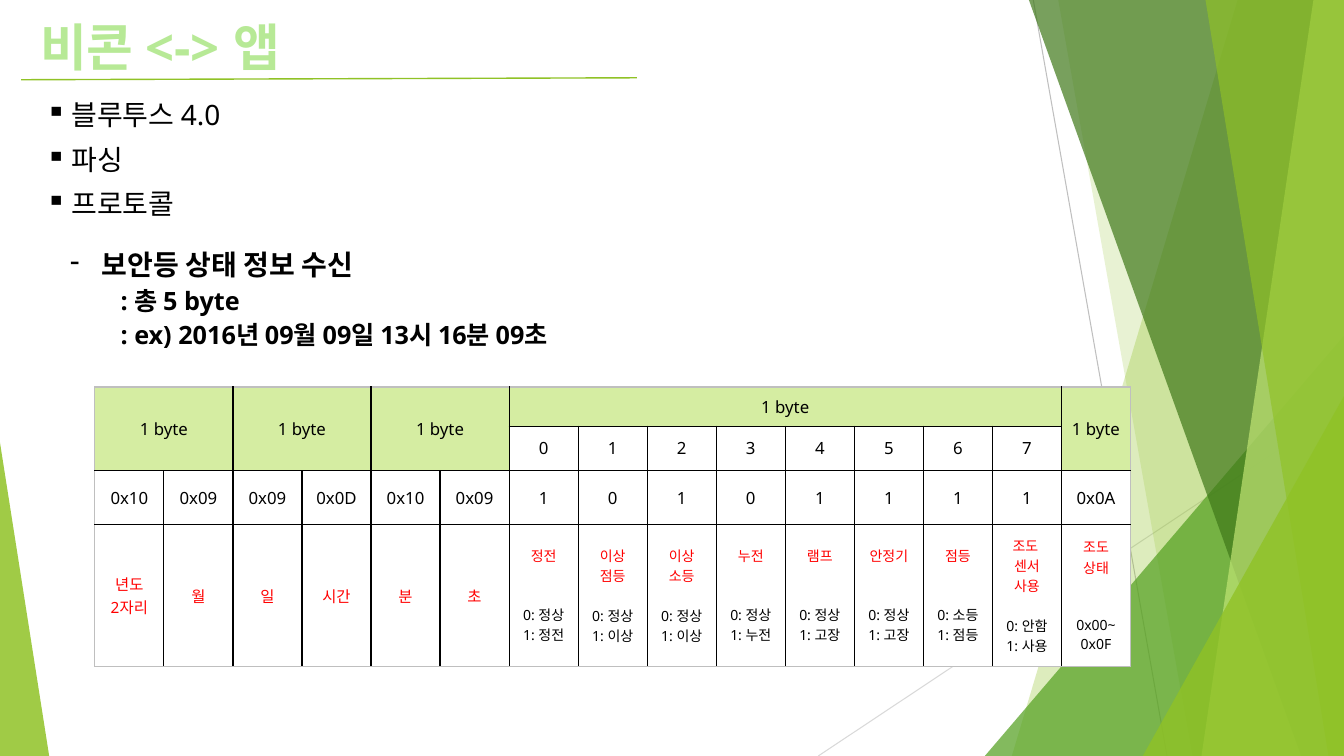
import pptx
import pptx.util
import pptx.dml.color
import pptx.enum.shapes
import pptx.enum.text
import pptx.oxml
import pptx.oxml.ns
from lxml import etree

Cm, Pt = pptx.util.Cm, pptx.util.Pt
RGBColor = pptx.dml.color.RGBColor
qn = pptx.oxml.ns.qn
SHAPES = pptx.enum.shapes.MSO_SHAPE
CENTER = pptx.enum.text.PP_ALIGN.CENTER
MIDDLE = pptx.enum.text.MSO_ANCHOR.MIDDLE

FONT = "Noto Sans"
BLACK = RGBColor(0x00, 0x00, 0x00)
WHITE = RGBColor(0xFF, 0xFF, 0xFF)
RED = RGBColor(0xFF, 0x00, 0x00)
GRAY = RGBColor(0xBF, 0xBF, 0xBF)
LIGHT_GRAY = RGBColor(0xD9, 0xD9, 0xD9)
LIME = RGBColor(0x90, 0xC2, 0x26)
PALE_LIME = RGBColor(0xC0, 0xE4, 0x74)
GREEN = RGBColor(0x54, 0xA0, 0x21)
DARK_GREEN = RGBColor(0x3F, 0x78, 0x19)
TITLE_GREEN = RGBColor(0xB7, 0xE9, 0x96)
HEADER_GREEN = RGBColor(0xD5, 0xED, 0xA2)

# Content
TITLE = "비콘 <-> 앱"
TOPICS = ["블루투스 4.0", "파싱", "프로토콜"]
DETAIL_HEADING = " 보안등 상태 정보 수신"
DETAILS = [": 총 5 byte", ": ex) 2016년 09월 09일 13시 16분 09초"]
BYTE_LABEL = "1 byte"
# first row, first column, last row, last column
BYTE_SPANS = [(0, 0, 1, 1), (0, 2, 1, 3), (0, 4, 1, 5), (0, 6, 0, 13), (0, 14, 1, 14)]
VALUES = ["0x10", "0x09", "0x09", "0x0D", "0x10", "0x09",
          "1", "0", "1", "0", "1", "1", "1", "1", "0x0A"]
DATE_PARTS = [["년도", "2자리"], ["월"], ["일"], ["시간"], ["분"], ["초"]]
# name lines, blank lines of gap, meaning lines
FLAGS = [
    (["정전"], 2, ["0: 정상", "1: 정전"]),
    (["이상", "점등"], 1, ["0: 정상", "1: 이상"]),
    (["이상", "소등"], 1, ["0: 정상", "1: 이상"]),
    (["누전"], 2, ["0: 정상", "1: 누전"]),
    (["램프"], 2, ["0: 정상", "1: 고장"]),
    (["안정기"], 2, ["0: 정상", "1: 고장"]),
    (["점등"], 2, ["0: 소등", "1: 점등"]),
    (["조도 ", "센서", "사용"], 1, ["0: 안함", "1: 사용"]),
    (["조도", "상태"], 2, ["0x00~", "0x0F"]),
]
FIRST_FLAG = len(DATE_PARTS)

# Measures in centimetres
WIDTH, HEIGHT = 33.87, 19.05
COLUMN_WIDTH = 1.74
ROW_HEIGHTS = [0.99, 1.12, 1.35, 3.58]
BLANK_LINE = 13.8  # points
# facets reach the right edge: top x, bottom x, colour, opacity
FACETS_BACK = [(31.19, 25.5, LIME, 30), (26.67, 30.05, LIME, 20)]
FACETS_FRONT = [(25.93, 32.79, DARK_GREEN, 70), (33.1, 30.28, PALE_LIME, 70),
                (30.38, 33.48, LIME, 65)]

presentation = pptx.Presentation()
presentation.slide_width, presentation.slide_height = Cm(WIDTH), Cm(HEIGHT)
slide = presentation.slides.add_slide(presentation.slide_layouts[6])


def paint(shape, color, opacity):
    shape.shadow.inherit = False
    shape.line.fill.background()
    shape.fill.solid()
    shape.fill.fore_color.rgb = color
    color_element = shape.fill._xPr.find(".//" + qn("a:srgbClr"))
    etree.SubElement(color_element, qn("a:alpha"), val=str(opacity * 1000))


def add_line(start, end, color, width):
    line = slide.shapes.add_connector(
        pptx.enum.shapes.MSO_CONNECTOR.STRAIGHT, *map(Cm, start + end))
    line.line.color.rgb = color
    line.line.width = Pt(width)
    etree.SubElement(line._element.spPr, qn("a:effectLst"))


def add_facet(top_x, bottom_x, color, opacity):
    builder = slide.shapes.build_freeform(Cm(top_x), 0)
    builder.add_line_segments([(Cm(WIDTH), 0), (Cm(WIDTH), Cm(HEIGHT)),
                               (Cm(bottom_x), Cm(HEIGHT))], close=True)
    paint(builder.convert_to_shape(), color, opacity)


def add_triangle(left, top, right, apex, color, opacity):
    shape = slide.shapes.add_shape(SHAPES.ISOSCELES_TRIANGLE, Cm(left), Cm(top),
                                   Cm(right - left), Cm(HEIGHT - top))
    shape.adjustments[0] = apex
    paint(shape, color, opacity)


def add_text_frame(left, top, width, height):
    frame = slide.shapes.add_textbox(*map(Cm, (left, top, width, height))).text_frame
    frame.word_wrap = True
    return frame


def write(frame, text, size, color=BLACK, bold=False):
    """Fill the empty first paragraph, or add one after it."""
    paragraph = frame.paragraphs[0]
    if paragraph.runs:
        paragraph = frame.add_paragraph()
    paragraph.add_run().text = text
    font = paragraph.font
    font.name, font.size, font.bold = FONT, Pt(size), bold
    font.color.rgb = color
    return paragraph


def indent(paragraph, left, hanging=0.0, bullet=None):
    properties = paragraph._p.get_or_add_pPr()
    properties.set("marL", str(Cm(left)))
    properties.set("indent", str(-Cm(hanging)))
    if bullet:
        mark = etree.Element(qn("a:buChar"), char=bullet)
        properties.find(qn("a:defRPr")).addprevious(mark)


def set_borders(cell, row, column, last_row, last_column):
    edges = [("a:lnL", column == 0), ("a:lnR", column == last_column),
             ("a:lnT", row == 0), ("a:lnB", row == last_row)]
    properties = cell._tc.get_or_add_tcPr()
    for position, (tag, outer) in enumerate(edges):
        line = etree.Element(qn(tag), w=str(Pt(1)))
        fill = etree.SubElement(line, qn("a:solidFill"))
        etree.SubElement(fill, qn("a:srgbClr"), val=str(GRAY if outer else BLACK))
        properties.insert(position, line)


# Background facets
add_line((26.04, 0), (29.41, HEIGHT), GRAY, 0.75)
add_line((WIDTH, 10.24), (20.62, HEIGHT), LIGHT_GRAY, 0.75)
for facet in FACETS_BACK:
    add_facet(*facet)
add_triangle(24.82, 8.46, WIDTH, 1, GREEN, 72)
for facet in FACETS_FRONT:
    add_facet(*facet)
add_triangle(28.8, 9.98, WIDTH, 1, LIME, 80)
add_triangle(0, 11.15, 1.24, 0, LIME, 85)

# Title and its rule
add_line((0.53, 2.01), (16.05, 1.96), LIME, 1)
title = write(add_text_frame(0.76, 0.69, 19.46, 1.47), TITLE, 36.3, TITLE_GREEN, True)
title.line_spacing = 0.7
title.runs[0].font._element.insert(0, pptx.oxml.parse_xml(
    f'<a:ln xmlns:a="http://schemas.openxmlformats.org/drawingml/2006/main" w="{Pt(1.75)}">'
    f'<a:solidFill><a:srgbClr val="{GREEN}"/></a:solidFill></a:ln>'))

# Topics
topic_frame = add_text_frame(0.91, 2.44, 16.71, 3.6)
for topic in TOPICS:
    paragraph = write(topic_frame, topic, 20)
    paragraph.line_spacing, paragraph.space_before = 0.9, Pt(10)
    indent(paragraph, 0.64, 0.64, "▪")

# Details
detail_frame = add_text_frame(-1.02, 6.22, 18.62, 3)
indent(write(detail_frame, DETAIL_HEADING, 20, bold=True), 3.18, 0.64, "-")
for detail in DETAILS:
    indent(write(detail_frame, detail, 18, bold=True), 3.81)
for paragraph in detail_frame.paragraphs:
    paragraph.line_spacing, paragraph.space_before = 0.9, Pt(5)

# Protocol table
row_count, column_count = len(ROW_HEIGHTS), len(VALUES)
table = slide.shapes.add_table(
    row_count, column_count, Cm(2.39), Cm(9.75),
    Cm(COLUMN_WIDTH * column_count), Cm(sum(ROW_HEIGHTS))).table
for column in table.columns:
    column.width = Cm(COLUMN_WIDTH)
for row, height in zip(table.rows, ROW_HEIGHTS):
    row.height = Cm(height)
for first_row, first_column, last_row, last_column in BYTE_SPANS:
    table.cell(first_row, first_column).merge(table.cell(last_row, last_column))
    write(table.cell(first_row, first_column).text_frame, BYTE_LABEL, 12)
for bit in range(8):
    write(table.cell(1, FIRST_FLAG + bit).text_frame, str(bit), 12)
for column, value in enumerate(VALUES):
    write(table.cell(2, column).text_frame, value, 12)
for column, lines in enumerate(DATE_PARTS):
    for line in lines:
        write(table.cell(3, column).text_frame, line, 11, RED)
for column, (names, blanks, meanings) in enumerate(FLAGS, FIRST_FLAG):
    frame = table.cell(3, column).text_frame
    for name in names:
        write(frame, name, 10, RED)
    for meaning in meanings:
        write(frame, meaning, 10)
    frame.paragraphs[len(names)].space_before = Pt(blanks * BLANK_LINE)

for row in range(row_count):
    for column in range(column_count):
        cell = table.cell(row, column)
        header = row == 0 or (row == 1 and cell.is_spanned)
        cell.fill.solid()
        cell.fill.fore_color.rgb = HEADER_GREEN if header else WHITE
        cell.vertical_anchor = MIDDLE
        if row == 3 or (row == 0 and column == column_count - 1):
            cell.margin_left = cell.margin_right = Cm(0.1)
        if row == 3:
            cell.margin_top = cell.margin_bottom = Cm(0.1)
        for paragraph in cell.text_frame.paragraphs:
            paragraph.alignment = CENTER
        set_borders(cell, row, column, row_count - 1, column_count - 1)

presentation.save("out.pptx")
